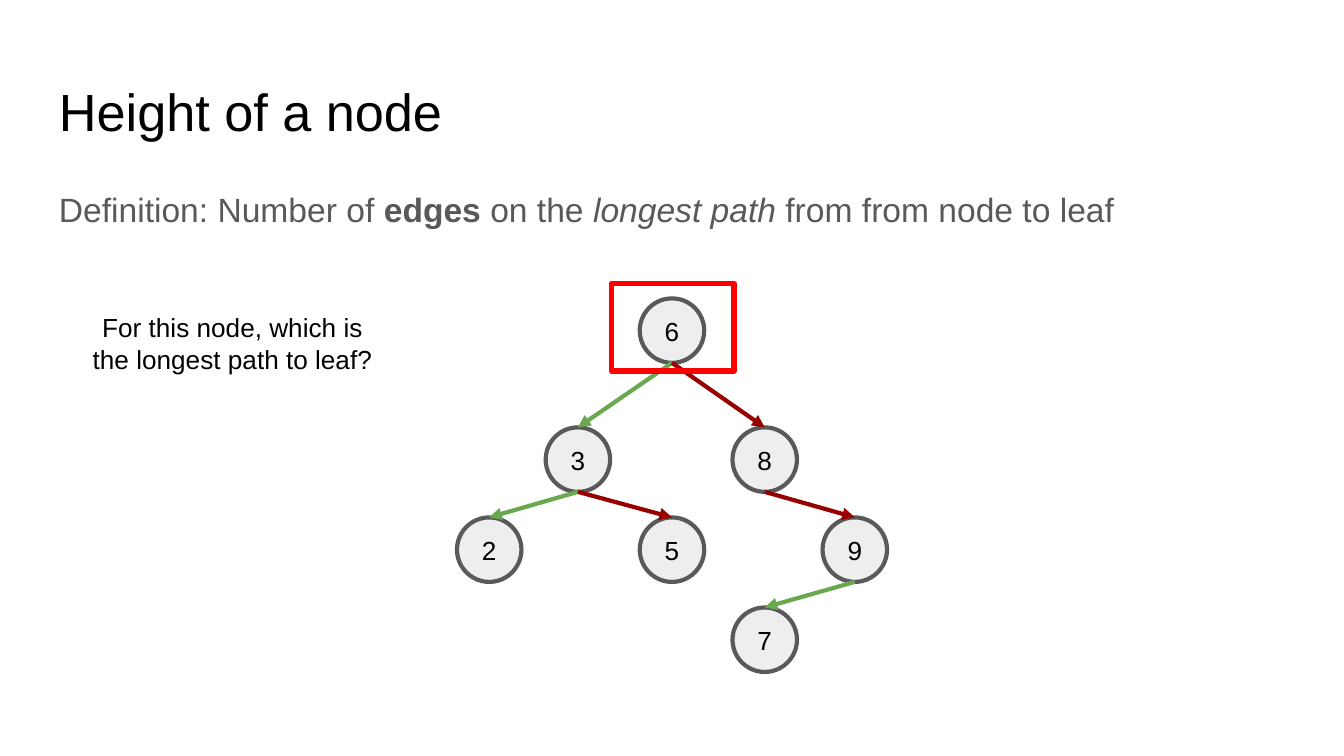
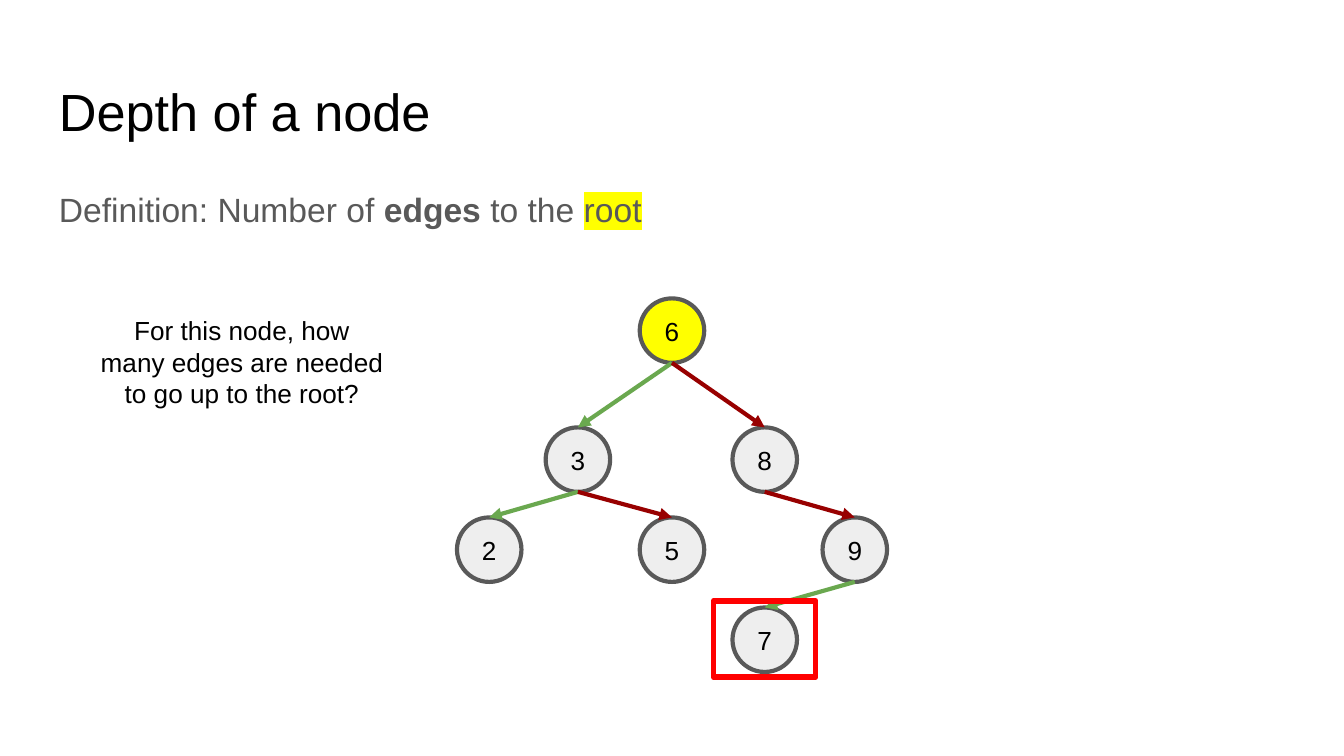
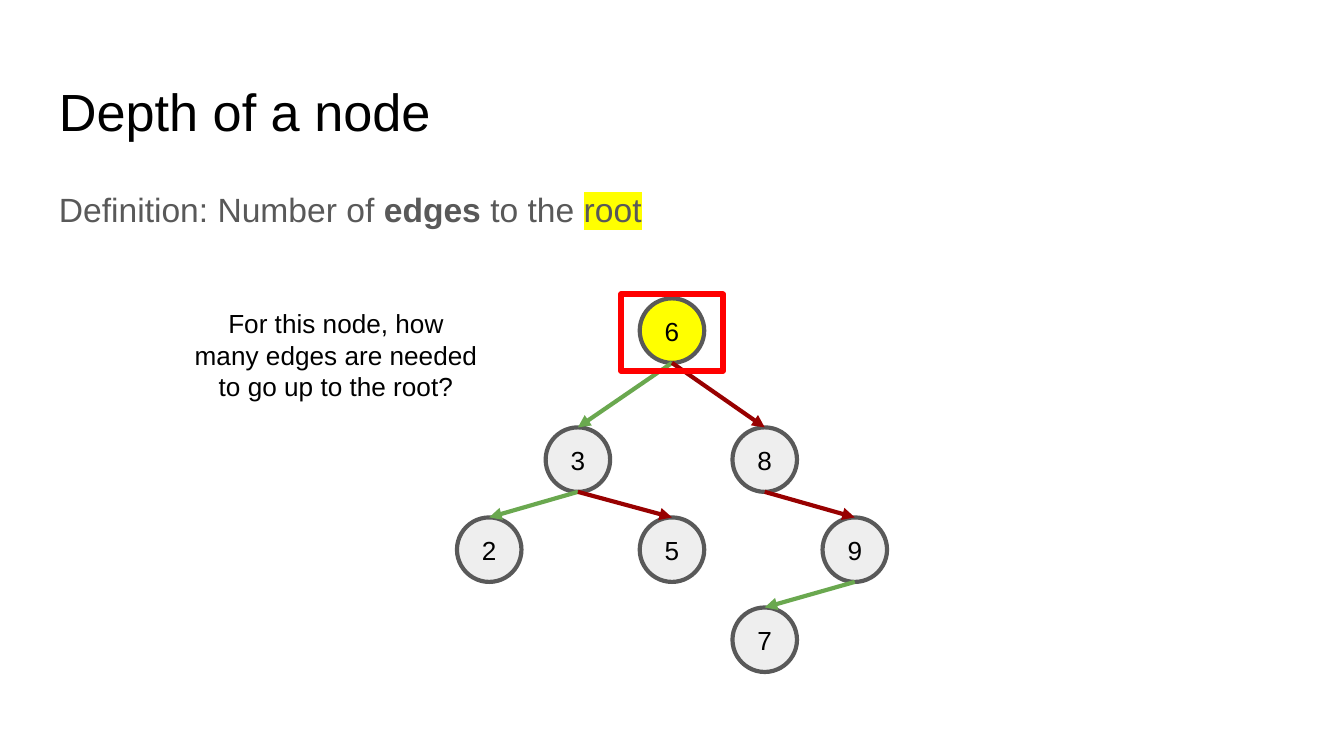
import dataclasses

import pptx
import pptx.dml.color
import pptx.enum.shapes
import pptx.enum.text
import pptx.oxml
import pptx.oxml.ns
import pptx.util

Inches = pptx.util.Inches
Pt = pptx.util.Pt
Shape = pptx.enum.shapes.MSO_SHAPE
Align = pptx.enum.text.PP_ALIGN
qn = pptx.oxml.ns.qn


@dataclasses.dataclass(frozen=True)
class Theme:
    font: str = "Arial"
    ink: str = "000000"
    grey: str = "595959"
    node: str = "EEEEEE"
    root: str = "FFFF00"
    left: str = "6AA84F"
    right: str = "980000"
    frame: str = "FF0000"
    title: int = 28
    body: int = 18
    label: int = 14
    edge: float = 2.25
    thick: float = 3


THEME = Theme()
SIZE = 0.48  # node diameter

# Tree: key -> centre x, centre y
NODES = {
    "6": (5, 2.46),
    "3": (4.3, 3.42), "8": (5.69, 3.42),
    "2": (3.64, 4.09), "5": (5, 4.09), "9": (6.36, 4.09),
    "7": (5.69, 4.76),
}
EDGES = ["63", "68", "32", "35", "89", "97"]

# Definitions: (text, style) runs
HEIGHT = [("Definition: Number of ", ""), ("edges", "bold"), (" on the ", ""),
          ("longest path", "italic"), (" from from node to leaf", "")]
DEPTH = [("Definition: Number of ", ""), ("edges", "bold"), (" to the ", ""),
         ("root", "mark")]
ASK = "For this node, how many edges are needed to go up to the root?"


def rgb(code):
    return pptx.dml.color.RGBColor.from_string(code)


def add_xml(parent, tag, **attrs):
    child = pptx.oxml.parse_xml(f"<a:{tag} {pptx.oxml.ns.nsdecls('a')}/>")
    for key, val in attrs.items():
        child.set(key, val)
    parent.append(child)
    return child


def style(run, size, color):
    run.font.name = THEME.font
    run.font.size = Pt(size)
    run.font.color.rgb = rgb(color)


def stroke(line, color, width):
    line.color.rgb = rgb(color)
    line.width = Pt(width)


def mark(run):
    """Highlight a run; the tag belongs right after the fill."""
    props = run.font._element
    light = add_xml(props, "highlight")
    add_xml(light, "srgbClr", val=THEME.root)
    props.find(qn("a:solidFill")).addnext(light)


def add_text(slide, box, parts, size, color=THEME.ink, align=Align.LEFT):
    frame = slide.shapes.add_textbox(*map(Inches, box)).text_frame
    frame.word_wrap = True
    frame.margin_left = frame.margin_right = Inches(0.1)
    frame.margin_top = frame.margin_bottom = Inches(0.1)
    para = frame.paragraphs[0]
    para.alignment = align
    for text, look in parts:
        run = para.add_run()
        run.text = text
        style(run, size, color)
        if look == "bold":
            run.font.bold = True
        elif look == "italic":
            run.font.italic = True
        elif look == "mark":
            mark(run)
    return para


def add_node(group, key, fill):
    x, y = NODES[key]
    box = (x - SIZE / 2, y - SIZE / 2, SIZE, SIZE)
    node = group.shapes.add_shape(Shape.OVAL, *map(Inches, box))
    node.shadow.inherit = False
    node.fill.solid()
    node.fill.fore_color.rgb = rgb(fill)
    stroke(node.line, THEME.grey, THEME.edge)
    frame = node.text_frame
    frame.margin_left = frame.margin_right = 0
    frame.margin_top = frame.margin_bottom = 0
    frame.vertical_anchor = pptx.enum.text.MSO_ANCHOR.MIDDLE
    frame.text = key
    para = frame.paragraphs[0]
    para.alignment = Align.CENTER
    style(para.runs[0], THEME.label, THEME.ink)


def add_edge(group, start, end):
    (x1, y1), (x2, y2) = NODES[start], NODES[end]
    ends = (x1, y1 + SIZE / 2, x2, y2 - SIZE / 2)
    edge = group.shapes.add_connector(
        pptx.enum.shapes.MSO_CONNECTOR.STRAIGHT, *map(Inches, ends))
    color = THEME.left if x2 < x1 else THEME.right
    stroke(edge.line, color, THEME.edge)
    props = edge._element.spPr
    add_xml(props.find(qn("a:ln")), "tailEnd", type="triangle")
    add_xml(props, "effectLst")


def add_tree(slide, root):
    group = slide.shapes.add_group_shape()
    for key in NODES:
        add_node(group, key, root if key == "6" else THEME.node)
    for start, end in EDGES:
        add_edge(group, start, end)


def add_frame(slide, box):
    frame = slide.shapes.add_shape(Shape.RECTANGLE, *map(Inches, box))
    frame.shadow.inherit = False
    frame.fill.background()
    stroke(frame.line, THEME.frame, THEME.thick)
    add_xml(frame._element.spPr.find(qn("a:ln")), "round")


def add_page(deck, title, parts, root, ask, spot, focus):
    slide = deck.slides.add_slide(deck.slide_layouts[6])
    add_text(slide, (0.34, 0.49, 9.32, 0.63), [(title, "")], THEME.title)
    para = add_text(slide, (0.34, 1.26, 9.32, 0.52), parts,
                    THEME.body, THEME.grey)
    para.line_spacing = 1.15
    para.space_after = Pt(16)
    add_tree(slide, root)
    add_text(slide, spot, [(ask, "")], THEME.label, align=Align.CENTER)
    add_frame(slide, focus)


def main():
    deck = pptx.Presentation()
    deck.slide_width = Inches(10)
    deck.slide_height = deck.slide_width * 9 // 16

    # Height
    add_page(deck, "Height of a node", HEIGHT, THEME.node,
             "For this node, which is the longest path to leaf?",
             (0.57, 2.22, 2.32, 0.66), (4.55, 2.11, 0.91, 0.65))

    # Depth: of a leaf, then of the root
    for spot, focus in [((0.64, 2.24), (5.31, 4.47)),
                        ((1.34, 2.19), (4.62, 2.19))]:
        add_page(deck, "Depth of a node", DEPTH, THEME.root, ASK,
                 (*spot, 2.32, 1.15), (*focus, 0.76, 0.57))

    deck.save("out.pptx")


if __name__ == "__main__":
    main()
